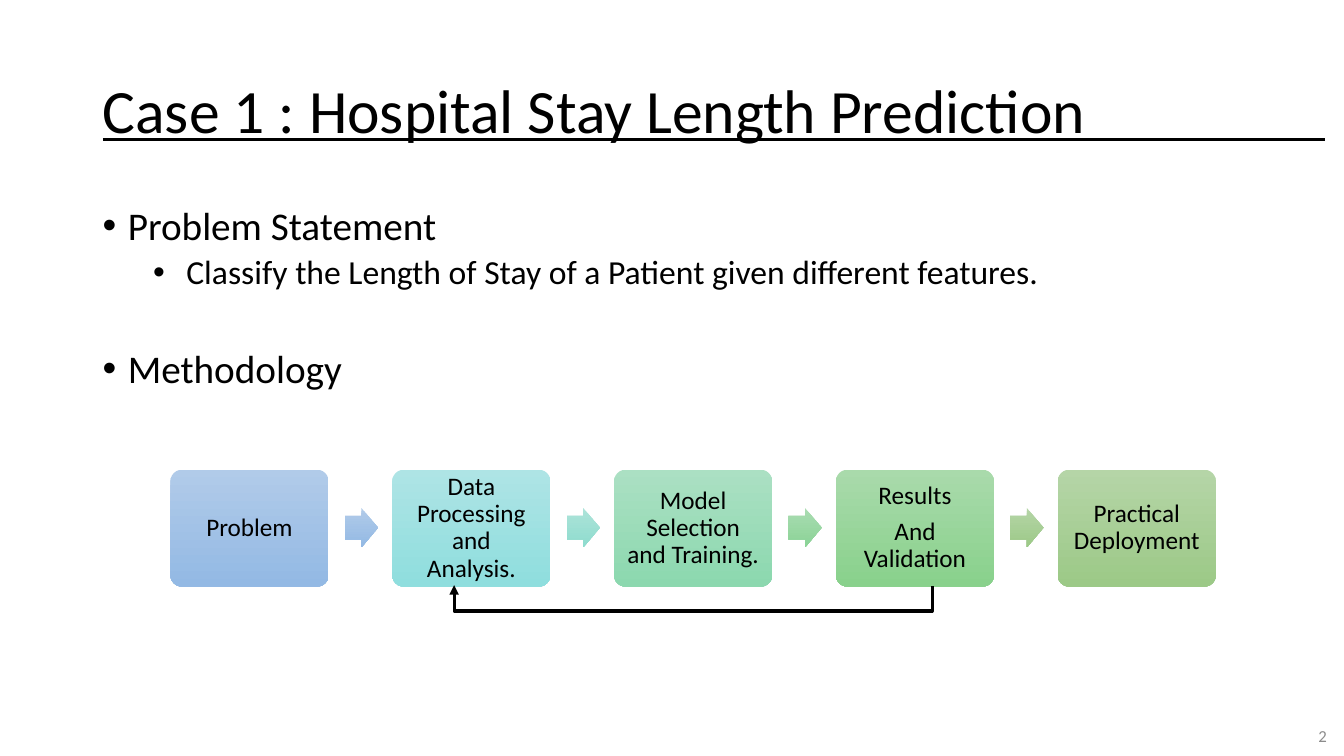
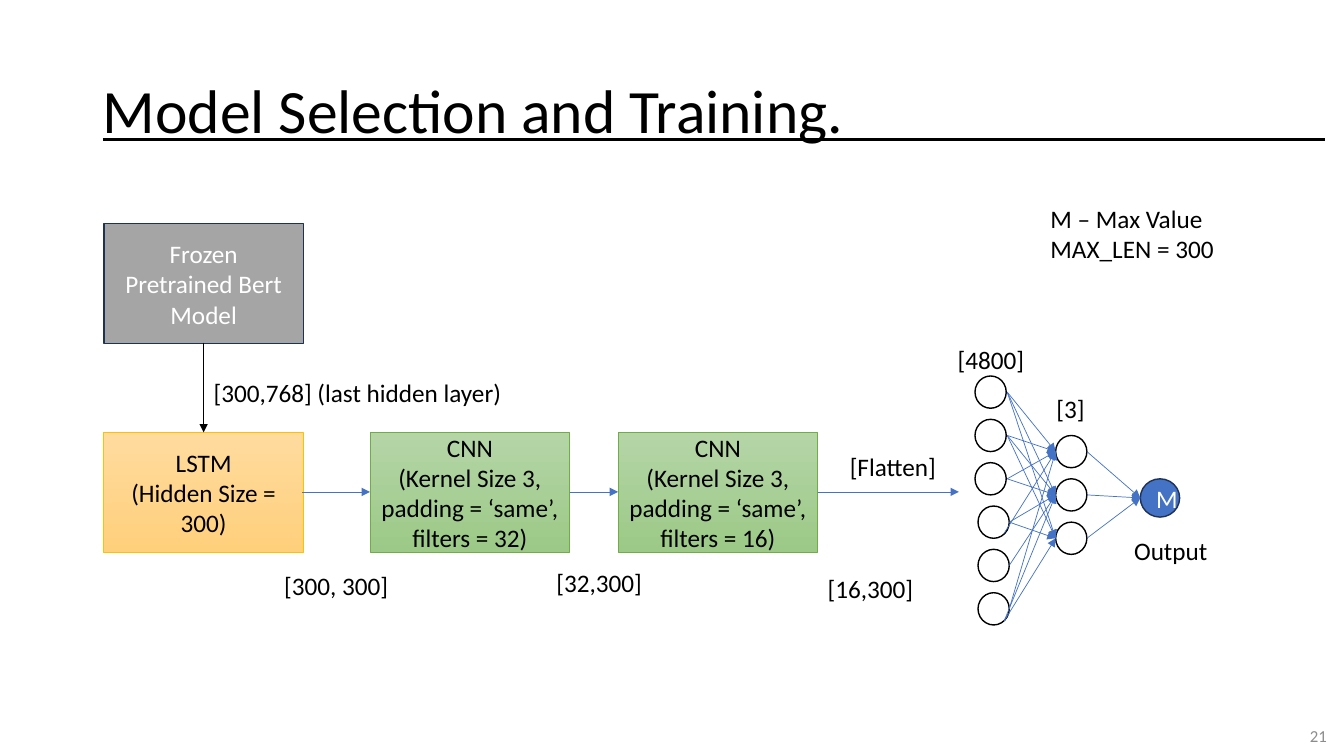
import pptx
import pptx.util
import pptx.dml.color
import pptx.enum.shapes
import pptx.enum.text
import pptx.oxml.ns
from lxml import etree

Inches = pptx.util.Inches
Pt = pptx.util.Pt
RGBColor = pptx.dml.color.RGBColor
SHAPE = pptx.enum.shapes.MSO_SHAPE
CONNECTOR = pptx.enum.shapes.MSO_CONNECTOR
ALIGN = pptx.enum.text.PP_ALIGN
ANCHOR = pptx.enum.text.MSO_ANCHOR
qn = pptx.oxml.ns.qn

FONT = "Calibri"
BLACK = RGBColor(0x00, 0x00, 0x00)
WHITE = RGBColor(0xFF, 0xFF, 0xFF)
PAGE_GRAY = RGBColor(0x8C, 0x8C, 0x8C)
GRAY = RGBColor(0xA5, 0xA5, 0xA5)
BLUE = RGBColor(0x44, 0x72, 0xC4)
NAVY = RGBColor(0x1E, 0x32, 0x56)
GOLD = RGBColor(0xFF, 0xC0, 0x00)
LEAF = RGBColor(0x70, 0xAD, 0x47)

SKY_FADE = (RGBColor(0xB1, 0xCB, 0xE9), RGBColor(0x93, 0xB9, 0xE4))
AQUA_FADE = (RGBColor(0xAE, 0xE4, 0xE5), RGBColor(0x8F, 0xDE, 0xDE))
TEAL_FADE = (RGBColor(0xAD, 0xE3, 0xD9), RGBColor(0x8E, 0xDC, 0xCE))
MINT_FADE = (RGBColor(0xAB, 0xE0, 0xC3), RGBColor(0x8C, 0xD8, 0xAF))
JADE_FADE = (RGBColor(0xAA, 0xDC, 0xB2), RGBColor(0x8A, 0xD3, 0x96))
GREEN_FADE = (RGBColor(0xA9, 0xDA, 0xAB), RGBColor(0x89, 0xD1, 0x8C))
LEAF_FADE = (RGBColor(0xB5, 0xD5, 0xA7), RGBColor(0x9C, 0xC9, 0x87))
AMBER_FADE = (RGBColor(0xFF, 0xDB, 0x9E), RGBColor(0xFF, 0xD0, 0x7C))


def add_box(slide, kind, at, texts=(), fill=None, line=None, width=1, size=18,
            color=BLACK, align=ALIGN.CENTER, anchor=ANCHOR.MIDDLE, spacing=1.0):
    at = [Inches(v) for v in at]
    if kind is None:
        sp = slide.shapes.add_textbox(*at)
    else:
        sp = slide.shapes.add_shape(kind, *at)
        sp.shadow.inherit = False
        if fill is None:
            sp.fill.background()
        elif isinstance(fill, RGBColor):
            sp.fill.solid()
            sp.fill.fore_color.rgb = fill
        else:
            sp.fill.gradient()
            sp.fill.gradient_angle = 270
            for stop, rgb in zip(sp.fill.gradient_stops, fill):
                stop.color.rgb = rgb
        if line is None:
            sp.line.fill.background()
        else:
            sp.line.color.rgb = line
            sp.line.width = Pt(width)
    tf = sp.text_frame
    tf.word_wrap = True
    tf.vertical_anchor = anchor
    for i, text in enumerate(texts):
        p = tf.add_paragraph() if i else tf.paragraphs[0]
        p.alignment = align
        p.line_spacing = spacing
        r = p.add_run()
        r.text = text
        r.font.name = FONT
        r.font.size = Pt(size)
        r.font.color.rgb = color
    return sp


def add_line(slide, x1, y1, x2, y2, color=BLUE, width=0.5, arrow=True,
             kind=CONNECTOR.STRAIGHT):
    cxn = slide.shapes.add_connector(kind, Inches(x1), Inches(y1), Inches(x2), Inches(y2))
    cxn.line.color.rgb = color
    cxn.line.width = Pt(width)
    if arrow:
        etree.SubElement(cxn.line._get_or_add_ln(), qn("a:tailEnd"), type="triangle")
    etree.SubElement(cxn._element.spPr, qn("a:effectLst"))
    return cxn


prs = pptx.Presentation()
prs.slide_width = Inches(13.33)
prs.slide_height = Inches(7.5)

slides = []
for title, number in [("Case 1 : Hospital Stay Length Prediction", "2"),
                      ("Model Selection and Training.", "21")]:
    s = prs.slides.add_slide(prs.slide_layouts[6])
    add_box(s, None, (0.92, 0.4, 11.5, 1.45), [title], size=44, align=ALIGN.LEFT, spacing=0.9)
    add_box(s, None, (10.26, 7.1, 3, 0.4), [number], size=12, color=PAGE_GRAY, align=ALIGN.RIGHT)
    add_line(s, 1.02, 1.38, 13.14, 1.38, BLACK, 2.25, arrow=False)
    slides.append(s)
case, model = slides

body = add_box(case, None, (0.92, 2, 11.5, 2.2),
               ["Problem Statement",
                "Classify the Length of Stay of a Patient given different features.",
                "Methodology"],
               size=28, align=ALIGN.LEFT, anchor=ANCHOR.TOP, spacing=0.9)
outline = [(0.25, 0.25, 0, 28), (0.83, 0.33, 5, 24), (0.25, 0.25, 41, 28)]
for p, (margin, hang, before, size) in zip(body.text_frame.paragraphs, outline):
    pPr = p._p.get_or_add_pPr()
    pPr.set("marL", str(Inches(margin)))
    pPr.set("indent", str(-Inches(hang)))
    p.space_before = Pt(before)
    etree.SubElement(pPr, qn("a:buFont"), typeface="Arial")
    etree.SubElement(pPr, qn("a:buChar"), char="•")
    p.runs[0].font.size = Pt(size)

steps = [
    (["Problem"], SKY_FADE, SKY_FADE),
    (["Data Processing and Analysis."], AQUA_FADE, TEAL_FADE),
    (["Model Selection and Training."], MINT_FADE, JADE_FADE),
    (["Results", "And Validation"], GREEN_FADE, LEAF_FADE),
    (["Practical Deployment"], LEAF_FADE, None),
]
for i, (texts, fill, arrow_fill) in enumerate(steps):
    x = 1.69 + 2.2 * i
    sp = add_box(case, SHAPE.ROUNDED_RECTANGLE, (x, 4.66, 1.57, 1.16), texts, fill, spacing=0.9)
    sp.adjustments[0] = 0.1
    tf = sp.text_frame
    tf.margin_left = tf.margin_right = tf.margin_top = tf.margin_bottom = Inches(0.1)
    for p in tf.paragraphs:
        p.space_after = Pt(6.3)
    if arrow_fill:
        sp = add_box(case, SHAPE.RIGHT_ARROW, (x + 1.73, 5.04, 0.33, 0.39), fill=arrow_fill)
        sp.adjustments[0] = 0.6

feedback = add_line(case, 6.88, 3.44, 6.87, 8.18, BLACK, 2.25, kind=CONNECTOR.ELBOW)
spPr = feedback._element.spPr
spPr.find(qn("a:xfrm")).set("rot", "5400000")
avLst = spPr.find(qn("a:prstGeom")).find(qn("a:avLst"))
etree.SubElement(avLst, qn("a:gd"), name="adj1", fmla="val -2500000")

blocks = [
    (1.03, 2.22, ["Frozen Pretrained Bert Model"], GRAY, NAVY, 1, WHITE),
    (1.03, 4.29, ["LSTM", "(Hidden Size = 300)"], AMBER_FADE, GOLD, 0.5, BLACK),
    (3.67, 4.29, ["CNN", "(Kernel Size 3, padding = ‘same’, filters = 32)"],
     LEAF_FADE, LEAF, 0.5, BLACK),
    (6.13, 4.29, ["CNN", "(Kernel Size 3, padding = ‘same’, filters = 16)"],
     LEAF_FADE, LEAF, 0.5, BLACK),
]
for x, y, texts, fill, line, width, color in blocks:
    add_box(model, SHAPE.RECTANGLE, (x, y, 1.98, 1.19), texts, fill, line, width, color=color)

add_line(model, 2.02, 3.4, 2.02, 4.29, BLACK)
for x1, x2 in [(3, 3.67), (5.65, 6.13), (8.11, 9.51)]:
    add_line(model, x1, 4.88, x2, 4.88)

labels = [
    (2.02, 3.69, 3.33, ["[300,768] (last hidden layer)"]),
    (2.72, 5.61, 1.23, ["[300, 300]"]),
    (5.42, 5.58, 1.23, ["[32,300]"]),
    (8.11, 5.64, 1.23, ["[16,300]"]),
    (8.33, 4.43, 1.23, ["[Flatten]"]),
    (9.4, 3.37, 1.23, ["[4800]"]),
    (10.38, 3.85, 0.88, ["[3]"]),
    (11.15, 5.26, 1.53, ["Output"]),
    (10.32, 1.97, 1.98, ["M – Max Value", "MAX_LEN = 300"]),
]
for x, y, w, texts in labels:
    add_box(model, None, (x, y, w, 0.1 + 0.3 * len(texts)), texts,
            align=ALIGN.LEFT, anchor=ANCHOR.TOP)

PITCH = 0.43
for x, top, count in [(9.67, 3.73, 3), (9.7, 5.02, 3), (10.47, 4.32, 3)]:
    for i in range(count):
        add_box(model, SHAPE.OVAL, (x, top + PITCH * i, 0.31, 0.32), line=BLACK)

hidden_y = [4.48 + PITCH * i for i in range(3)]
edges = [
    (9.99, 3.89, (0, 1, 2)),
    (9.99, 4.32, (0, 1, 2)),
    (9.99, 4.75, (0, 1)),
    (10.01, 5.18, (1, 2)),
    (9.96, 5.29, (0,)),
    (10.01, 5.61, (1,)),
    (10.01, 6.04, (0,)),
    (9.96, 6.16, (1, 2)),
]
for x, y, targets in edges:
    for t in targets:
        add_line(model, x, y, 10.47, hidden_y[t])

add_box(model, SHAPE.OVAL, (11.31, 4.75, 0.39, 0.38), ["M"], BLUE, NAVY, color=WHITE)
for y in hidden_y:
    add_line(model, 10.78, y, 11.31, 4.94)

prs.save("out.pptx")
